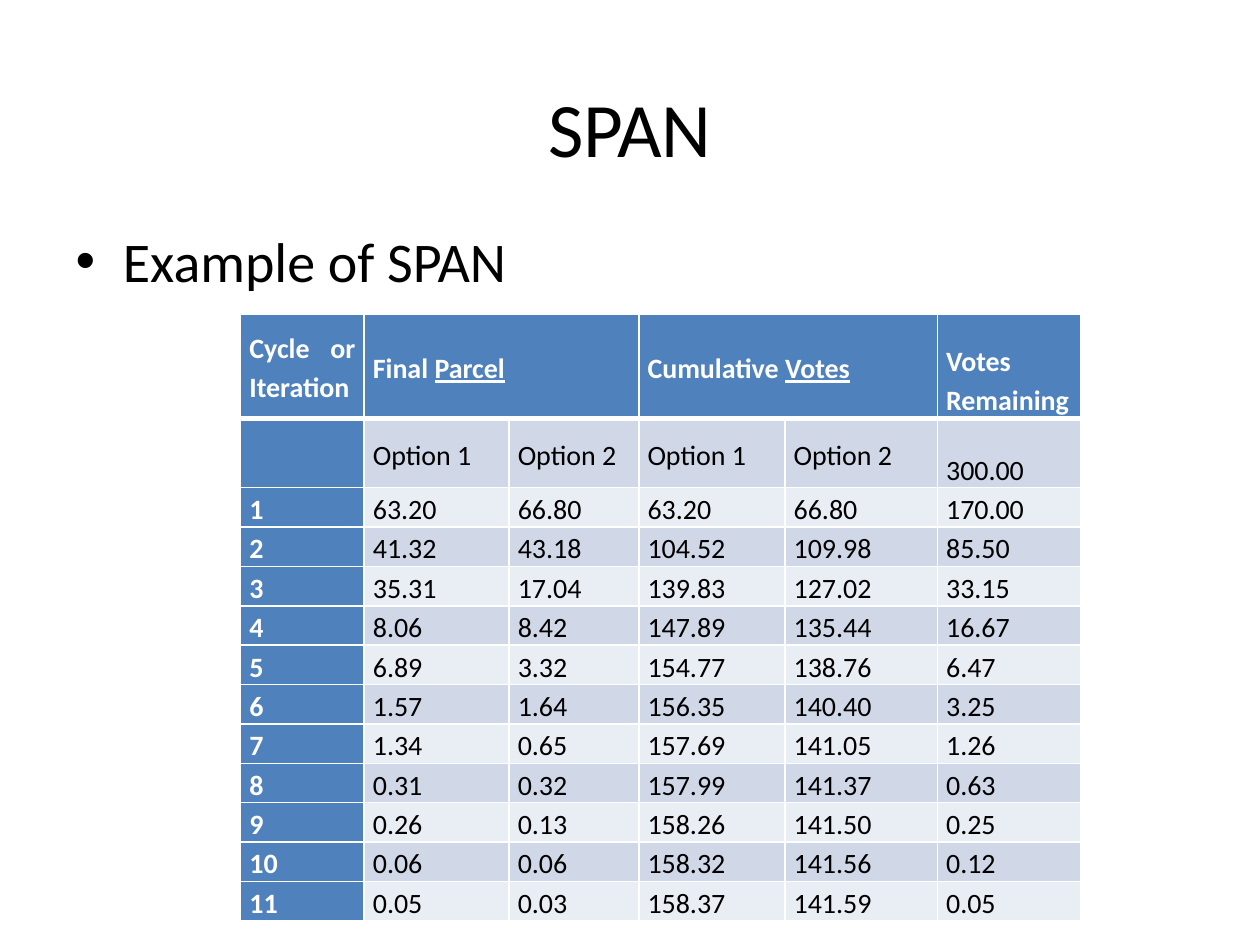
from dataclasses import dataclass

from lxml.etree import SubElement
from pptx import Presentation
from pptx.dml.color import RGBColor
from pptx.enum.text import MSO_ANCHOR, PP_ALIGN
from pptx.oxml.ns import qn
from pptx.util import Inches, Pt


@dataclass(frozen=True)
class Theme:
    font: str = "Calibri"
    title_size: int = 44
    body_size: int = 32
    table_size: int = 16
    ink: str = "000000"
    white: str = "FFFFFF"
    accent: str = "4F81BD"
    dark_band: str = "D0D8E8"
    light_band: str = "E9EDF4"
    rule: int = 1
    header_rule: int = 3


theme = Theme()


def style_runs(paragraph, size, color, bold=False):
    for run in paragraph.runs:
        run.font.name = theme.font
        run.font.size = Pt(size)
        run.font.bold = bold
        run.font.color.rgb = RGBColor.from_string(color)


def add_border(cell, side, width):
    line = SubElement(cell._tc.get_or_add_tcPr(), qn(f"a:ln{side}"), w=str(Pt(width)))
    fill = SubElement(line, qn("a:solidFill"))
    SubElement(fill, qn("a:srgbClr"), val=theme.white)


prs = Presentation()
prs.slide_width, prs.slide_height = Inches(10), Inches(7.5)
slide = prs.slides.add_slide(prs.slide_layouts[1])

# Title
title = slide.shapes.title
title.left, title.top = Inches(0.5), Inches(0.38)
title.width, title.height = Inches(9), Inches(1.25)
title.text_frame.text = "SPAN"
style_runs(title.text_frame.paragraphs[0], theme.title_size, theme.ink)

# Bullet
body = slide.placeholders[1]
body.left, body.top = Inches(0.5), Inches(1.75)
body.width, body.height = Inches(9), Inches(4.95)
body.text_frame.text = "Example of SPAN"
style_runs(body.text_frame.paragraphs[0], theme.body_size, theme.ink)

# Voting rounds: each header is a plain part and an underlined part
headers = {
    0: ("Cycle or Iteration", ""),
    1: ("Final ", "Parcel"),
    3: ("Cumulative ", "Votes"),
    5: ("Votes Remaining", ""),
}
rounds = [
    ("", "Option 1", "Option 2", "Option 1", "Option 2", "300.00"),
    ("1", "63.20", "66.80", "63.20", "66.80", "170.00"),
    ("2", "41.32", "43.18", "104.52", "109.98", "85.50"),
    ("3", "35.31", "17.04", "139.83", "127.02", "33.15"),
    ("4", "8.06", "8.42", "147.89", "135.44", "16.67"),
    ("5", "6.89", "3.32", "154.77", "138.76", "6.47"),
    ("6", "1.57", "1.64", "156.35", "140.40", "3.25"),
    ("7", "1.34", "0.65", "157.69", "141.05", "1.26"),
    ("8", "0.31", "0.32", "157.99", "141.37", "0.63"),
    ("9", "0.26", "0.13", "158.26", "141.50", "0.25"),
    ("10", "0.06", "0.06", "158.32", "141.56", "0.12"),
    ("11", "0.05", "0.03", "158.37", "141.59", "0.05"),
]
column_widths = [0.98, 1.15, 1.03, 1.16, 1.21, 1.14]
row_heights = [0.83, 0.55] + [0.29] * (len(rounds) - 1)
last_column = len(column_widths) - 1

votes = slide.shapes.add_table(
    len(row_heights), len(column_widths), Inches(1.91), Inches(2.49),
    Inches(sum(column_widths)), Inches(sum(row_heights)),
).table
votes.first_col = True
for column, width in zip(votes.columns, column_widths):
    column.width = Inches(width)
for row, height in zip(votes.rows, row_heights):
    row.height = Inches(height)

# Table text
for c, (plain, underlined) in headers.items():
    paragraph = votes.cell(0, c).text_frame.paragraphs[0]
    paragraph.text = plain
    if underlined:
        run = paragraph.add_run()
        run.text = underlined
        run.font.underline = True
for r, values in enumerate(rounds, start=1):
    for c, value in enumerate(values):
        votes.cell(r, c).text_frame.text = value

# Table styling
for r in range(len(row_heights)):
    for c in range(len(column_widths)):
        cell = votes.cell(r, c)
        is_heading = r == 0 or c == 0
        cell.margin_left = cell.margin_right = Inches(0.07)
        cell.margin_top = cell.margin_bottom = 0
        cell.vertical_anchor = MSO_ANCHOR.BOTTOM if c == last_column else MSO_ANCHOR.MIDDLE

        add_border(cell, "L", theme.rule)
        add_border(cell, "R", theme.rule)
        add_border(cell, "T", theme.header_rule if r == 1 else theme.rule)
        add_border(cell, "B", theme.header_rule if r == 0 else theme.rule)

        band = theme.dark_band if r % 2 else theme.light_band
        cell.fill.solid()
        cell.fill.fore_color.rgb = RGBColor.from_string(theme.accent if is_heading else band)

        paragraph = cell.text_frame.paragraphs[0]
        paragraph.alignment = PP_ALIGN.JUSTIFY
        paragraph.line_spacing = 1.15
        style_runs(paragraph, theme.table_size, theme.white if is_heading else theme.ink, is_heading)

# Paired option headings
for c in (1, 3):
    votes.cell(0, c).merge(votes.cell(0, c + 1))

prs.save("out.pptx")
